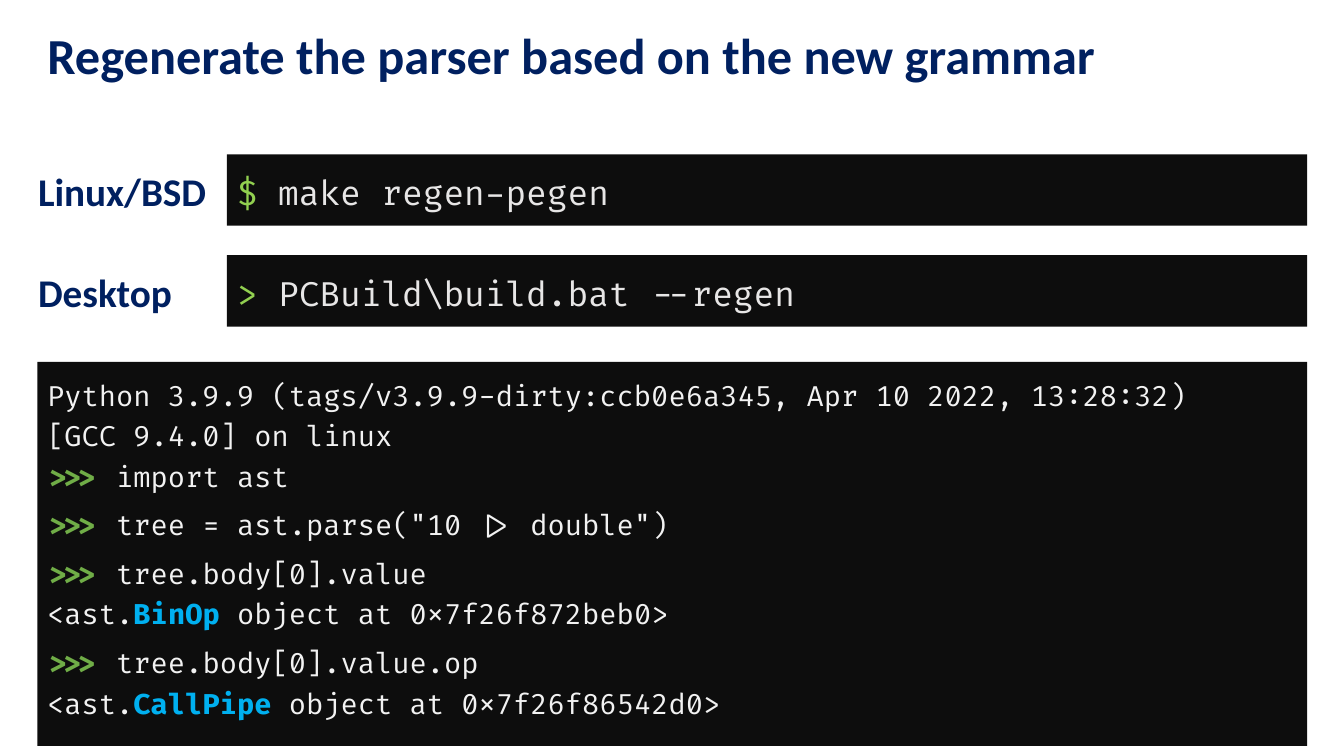
from dataclasses import dataclass

from pptx import Presentation
from pptx.dml.color import RGBColor
from pptx.enum.shapes import MSO_SHAPE
from pptx.enum.text import MSO_ANCHOR, MSO_AUTO_SIZE, PP_ALIGN
from pptx.util import Cm, Pt

RECT = MSO_SHAPE.RECTANGLE
TOP, MIDDLE = MSO_ANCHOR.TOP, MSO_ANCHOR.MIDDLE
NO_FIT, GROW = MSO_AUTO_SIZE.NONE, MSO_AUTO_SIZE.SHAPE_TO_FIT_TEXT
LEFT = PP_ALIGN.LEFT

TITLE = "Regenerate the parser based on the new grammar"
SHELLS = [
    ("Linux/BSD", "$ ", "make regen-pegen"),
    ("Desktop", "> ", "PCBuild\\build.bat --regen"),
]
CONSOLE = [
    (0, [("Python 3.9.9 (tags/v3.9.9-dirty:ccb0e6a345, Apr 10 2022, 13:28:32)", "plain")]),
    (0, [("[GCC 9.4.0] on linux", "plain")]),
    (0, [(">>> ", "mark"), ("import ast", "plain")]),
    (6, [(">>> ", "mark"), ('tree = ast.parse("10 |> double")', "plain")]),
    (6, [(">>> ", "mark"), ("tree.body[0].value", "plain")]),
    (0, [("<ast.", "plain"), ("BinOp", "node"), (" object at 0x7f26f872beb0>", "plain")]),
    (6, [(">>> ", "mark"), ("tree.body[0].value.op", "plain")]),
    (0, [("<ast.", "plain"), ("CallPipe", "node"), (" object at 0x7f26f86542d0>", "plain")]),
]


@dataclass(frozen=True)
class Theme:
    sans: str = "Calibri"
    mono: str = "Fira Code"
    navy: str = "002060"
    panel: str = "0D0D0D"
    title: int = 36
    label: int = 28
    shell: int = 24
    code: int = 20


THEME = Theme()
STYLES = {
    "prompt": ("92D050", False),
    "input": ("E7E6E6", False),
    "plain": ("F2F2F2", False),
    "mark": ("70AD47", True),
    "node": ("00B0F0", True),
}

EDGE, RIGHT = 0.94, 32.94
BAR_X, BAR_Y, BAR_H, STEP = 5.72, 3.89, 1.8, 2.54
LABEL_X, LABEL_DY = 0.71, 0.2


def style(run, font, size, color, bold):
    run.font.name = font
    run.font.size = Pt(size)
    run.font.bold = bold
    run.font.color.rgb = RGBColor.from_string(color)


def panel(slide, x, y, h, lines, size):
    box = slide.shapes.add_shape(RECT, Cm(x), Cm(y), Cm(RIGHT - x), Cm(h))
    box.shadow.inherit = False
    box.fill.solid()
    box.fill.fore_color.rgb = RGBColor.from_string(THEME.panel)
    box.line.fill.background()
    frame = box.text_frame
    frame.word_wrap = True
    frame.vertical_anchor = TOP
    frame.margin_left = frame.margin_right = Cm(0.25)
    frame.margin_top = frame.margin_bottom = Cm(0.25)
    for i, (gap, parts) in enumerate(lines):
        para = frame.add_paragraph() if i else frame.paragraphs[0]
        para.alignment = LEFT
        para.line_spacing = 1.2
        if gap:
            para.space_before = Pt(gap)
        for text, kind in parts:
            run = para.add_run()
            run.text = text
            style(run, THEME.mono, size, *STYLES[kind])


def label(slide, y, text):
    box = slide.shapes.add_textbox(Cm(LABEL_X), Cm(y), Cm(4.9), Cm(1.45))
    frame = box.text_frame
    frame.text = text
    frame.word_wrap = False
    frame.auto_size = GROW
    para = frame.paragraphs[0]
    para.alignment = LEFT
    style(para.runs[0], THEME.sans, THEME.label, THEME.navy, True)


def heading(slide):
    title = slide.shapes.title
    title.left, title.top = Cm(EDGE), Cm(0.66)
    title.width, title.height = Cm(RIGHT - EDGE), Cm(1.6)
    frame = title.text_frame
    frame.text = TITLE
    frame.auto_size = NO_FIT
    frame.vertical_anchor = MIDDLE
    para = frame.paragraphs[0]
    para.alignment = LEFT
    para.line_spacing = 0.9
    style(para.runs[0], THEME.sans, THEME.title, THEME.navy, True)


def main():
    deck = Presentation()
    deck.slide_width, deck.slide_height = Cm(33.87), Cm(19.05)
    slide = deck.slides.add_slide(deck.slide_layouts[5])
    heading(slide)
    for i, (name, prompt, text) in enumerate(SHELLS):
        y = BAR_Y + i * STEP
        line = (0, [(prompt, "prompt"), (text, "input")])
        panel(slide, BAR_X, y, BAR_H, [line], THEME.shell)
        label(slide, y + LABEL_DY, name)
    panel(slide, EDGE, 9.12, 9.68, CONSOLE, THEME.code)
    deck.save("out.pptx")


if __name__ == "__main__":
    main()
